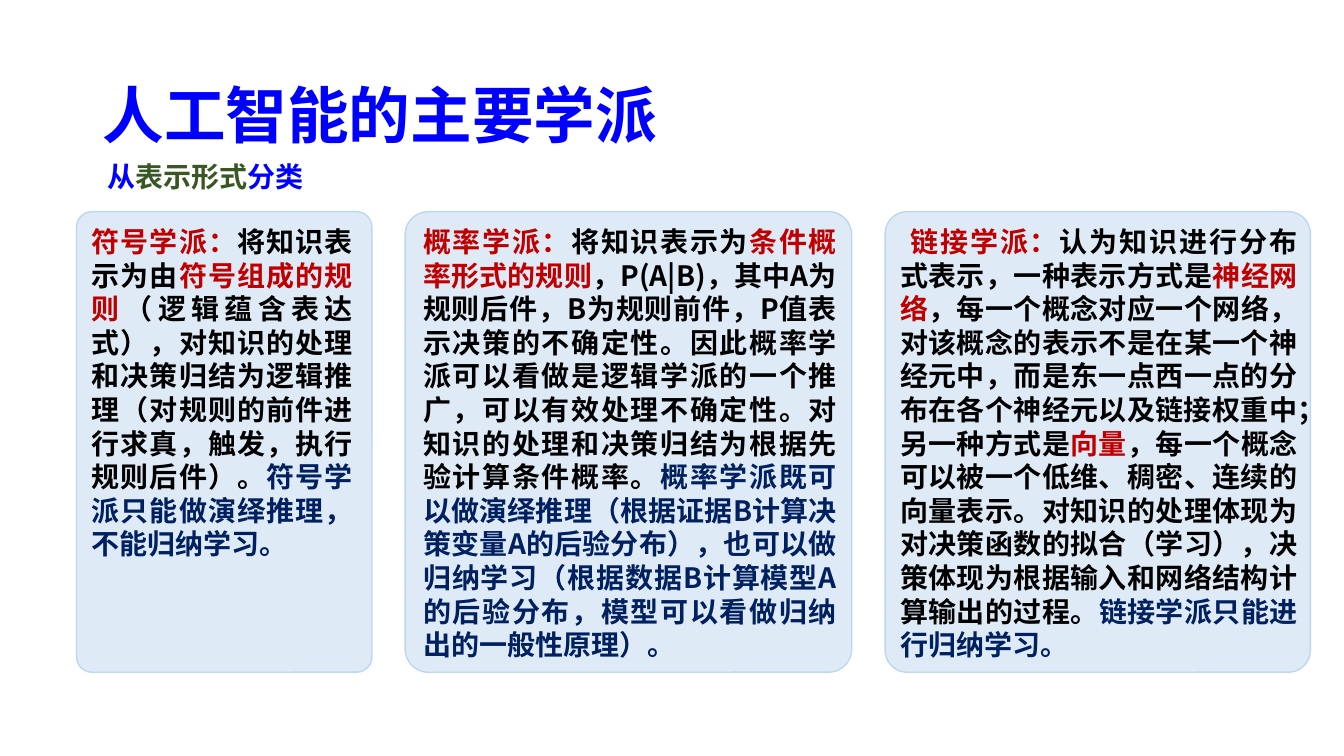
"""Build a slide on the main schools of artificial intelligence."""
from dataclasses import dataclass

from lxml import etree
from pptx import Presentation
from pptx.dml.color import RGBColor
from pptx.enum.lang import MSO_LANGUAGE_ID
from pptx.enum.shapes import MSO_SHAPE
from pptx.enum.text import MSO_ANCHOR, PP_ALIGN
from pptx.oxml.ns import qn
from pptx.util import Pt

ROUNDED = MSO_SHAPE.ROUNDED_RECTANGLE
TOP, MIDDLE = MSO_ANCHOR.TOP, MSO_ANCHOR.MIDDLE
LEFT, JUSTIFY = PP_ALIGN.LEFT, PP_ALIGN.JUSTIFY
CHINESE = MSO_LANGUAGE_ID.SIMPLIFIED_CHINESE


@dataclass(frozen=True)
class Theme:
    font: str = "Noto Sans CJK SC"
    title_size: int = 44
    body_size: int = 20
    leading: int = 24
    blue: str = "0000FF"
    green: str = "385723"
    red: str = "C00000"
    black: str = "000000"
    navy: str = "002060"
    card: str = "DEEBF7"
    border: str = "BDD7EE"


theme = Theme()
prs = Presentation()
prs.slide_width, prs.slide_height = Pt(960), Pt(540)
s = prs.slides.add_slide(prs.slide_layouts[6])


def add_text(runs, box, size=theme.body_size, align=JUSTIFY, anchor=TOP,
             leading=None, top_inset=3.6):
    tf = s.shapes.add_textbox(*map(Pt, box)).text_frame
    tf.word_wrap = True
    tf.vertical_anchor = anchor
    tf.margin_top = Pt(top_inset)
    p = tf.paragraphs[0]
    p.alignment = align
    if leading:
        p.line_spacing = Pt(leading)
    for text, color in runs:
        r = p.add_run()
        r.text = text
        r.font.size = Pt(size)
        r.font.bold = True
        r.font.name = theme.font
        r.font.language_id = CHINESE
        r.font.color.rgb = RGBColor.from_string(color)
        etree.SubElement(r.font._element, qn("a:ea"), typeface=theme.font)


add_text([("人工智能的主要学派", theme.blue)], (66.2, 28.8, 856.8, 104.4),
         size=theme.title_size, anchor=MIDDLE)
add_text([("从", theme.blue), ("表示形式", theme.green), ("分类", theme.blue)],
         (69.8, 108.7, 480.2, 31.7), align=LEFT, leading=theme.leading, top_inset=5.5)

schools = [
    ((54.7, 211), (58.3, 200.9), [
        ("符号学派：", theme.red),
        ("将知识表示为由", theme.black),
        ("符号组成的规则", theme.red),
        ("（逻辑蕴含表达式），对知识的处理和决策归结为逻辑推理"
         "（对规则的前件进行求真，触发，执行规则后件）。", theme.black),
        ("符号学派只能做演绎推理，不能归纳学习。", theme.navy),
    ]),
    ((289.4, 319), (295.2, 309.6), [
        ("概率学派：", theme.red),
        ("将知识表示为", theme.black),
        ("条件概率形式的规则", theme.red),
        ("，P(A|B)，其中A为规则后件，B为规则前件，P值表示决策的不确定性。"
         "因此概率学派可以看做是逻辑学派的一个推广，可以有效处理不确定性。"
         "对知识的处理和决策归结为根据先验计算条件概率。", theme.black),
        ("概率学派既可以做演绎推理（根据证据B计算决策变量A的后验分布），"
         "也可以做归纳学习（根据数据B计算模型A的后验分布，"
         "模型可以看做归纳出的一般性原理）。", theme.navy),
    ]),
    ((632.2, 303.8), (635.8, 298.1), [
        (" 链接学派：", theme.red),
        ("认为知识进行分布式表示，一种表示方式是", theme.black),
        ("神经网络", theme.red),
        ("，每一个概念对应一个网络，对该概念的表示不是在某一个神经元中，"
         "而是东一点西一点的分布在各个神经元以及链接权重中；另一种方式是", theme.black),
        ("向量", theme.red),
        ("，每一个概念可以被一个低维、稠密、连续的向量表示。"
         "对知识的处理体现为对决策函数的拟合（学习），"
         "决策体现为根据输入和网络结构计算输出的过程。", theme.black),
        ("链接学派只能进行归纳学习。", theme.navy),
    ]),
]

for (card_x, card_w), (text_x, text_w), runs in schools:
    card = s.shapes.add_shape(ROUNDED, Pt(card_x), Pt(151.2), Pt(card_w), Pt(329))
    card.adjustments[0] = 0.052
    card.shadow.inherit = False
    card.fill.solid()
    card.fill.fore_color.rgb = RGBColor.from_string(theme.card)
    card.line.color.rgb = RGBColor.from_string(theme.border)
    card.line.width = Pt(1)
    add_text(runs, (text_x, 154.8, text_w, 322.6), leading=theme.leading, top_inset=5.5)

prs.save("out.pptx")
